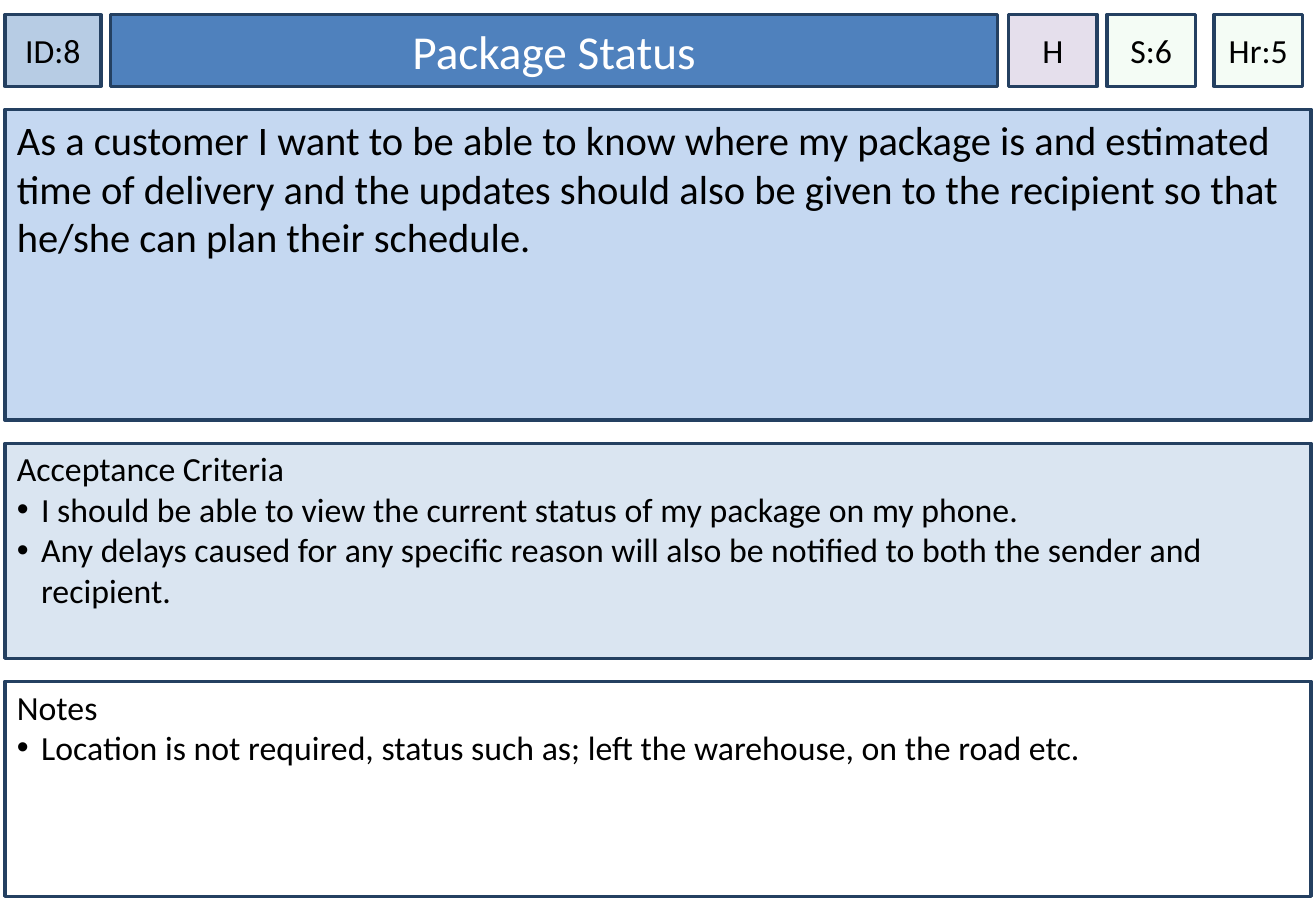
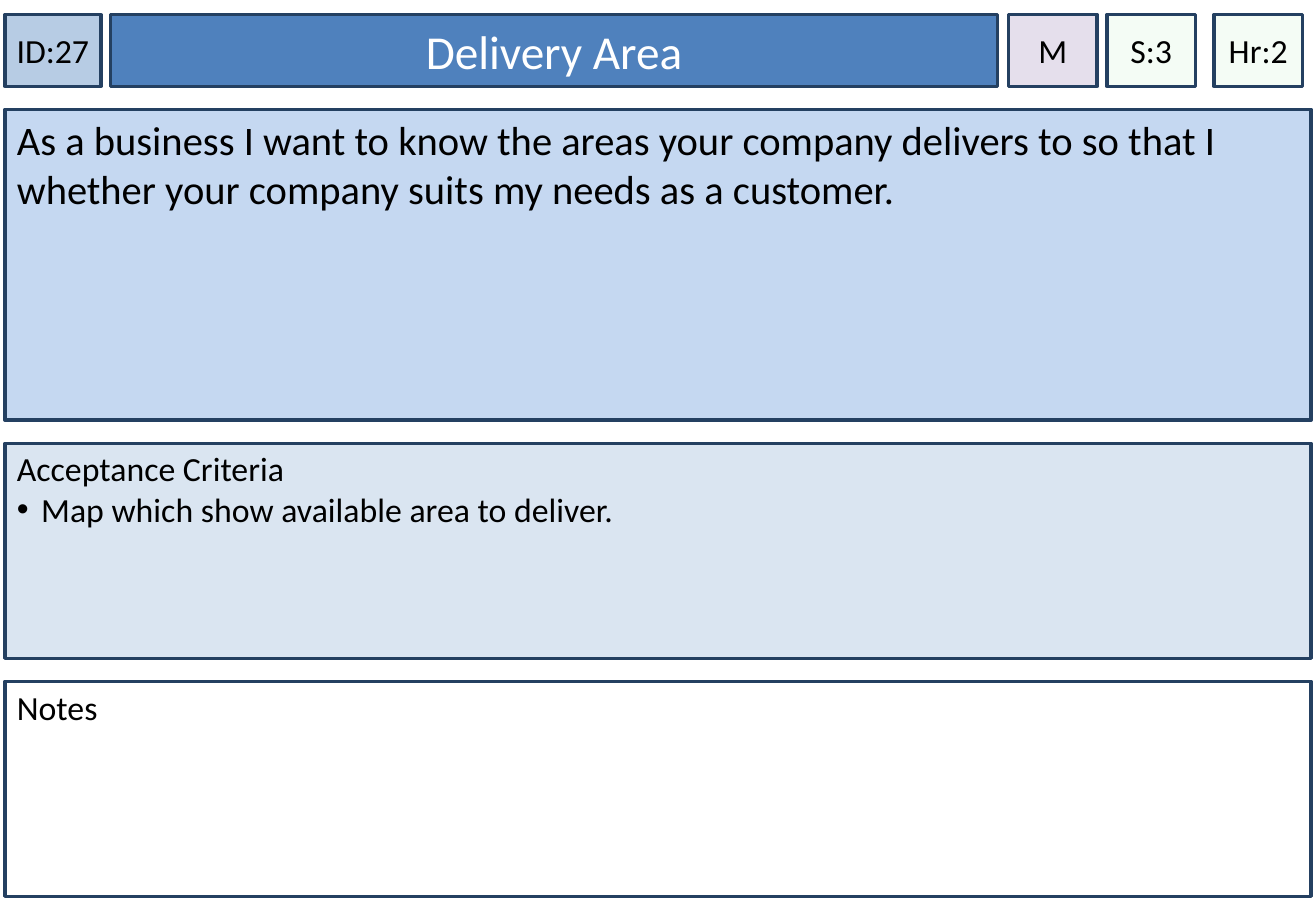
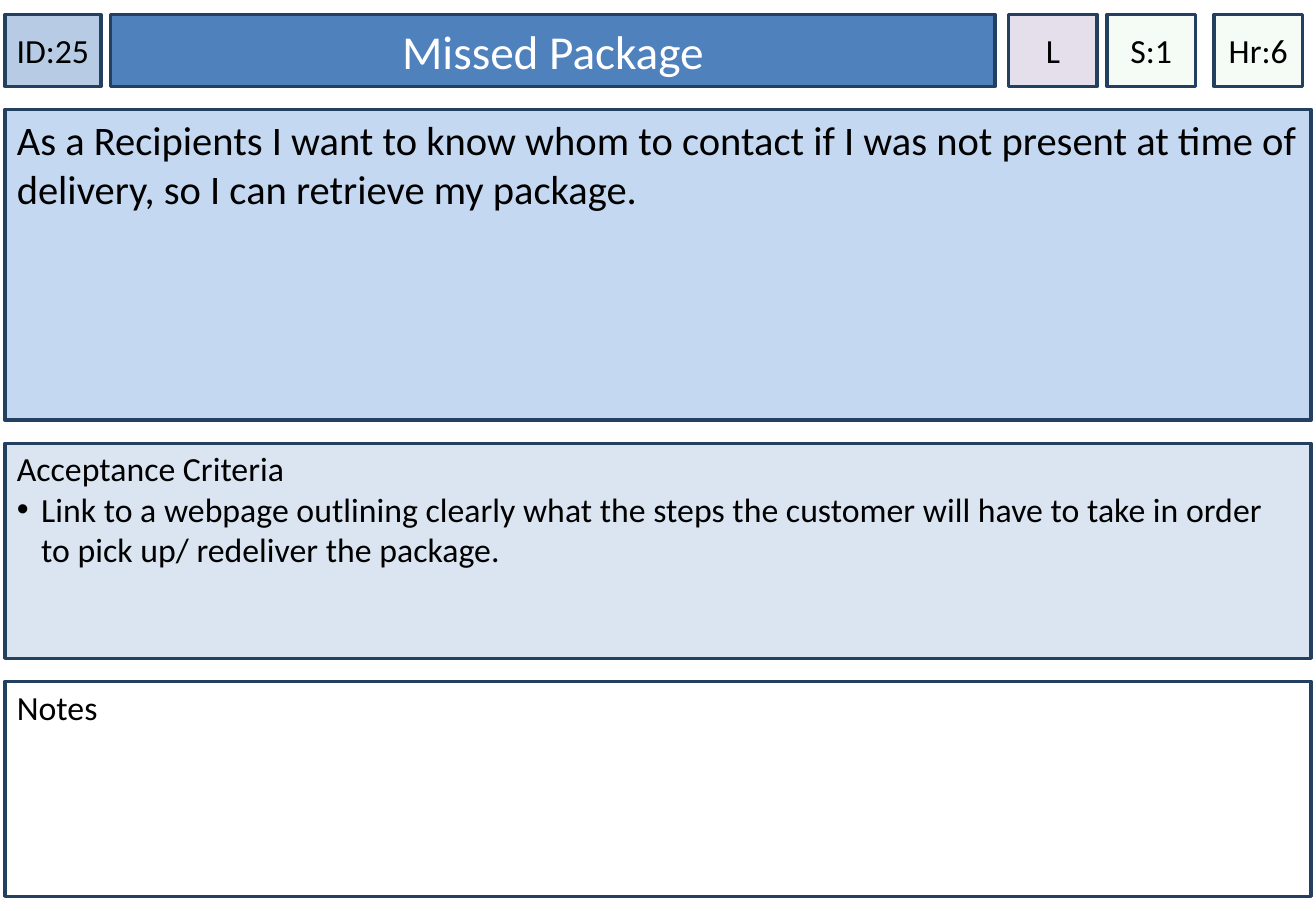
from lxml import etree
from pptx import Presentation
from pptx.dml.color import RGBColor
from pptx.enum.shapes import MSO_SHAPE
from pptx.enum.text import MSO_ANCHOR, PP_ALIGN
from pptx.oxml.ns import qn
from pptx.util import Inches, Pt

RECT = MSO_SHAPE.RECTANGLE
TOP, MIDDLE = MSO_ANCHOR.TOP, MSO_ANCHOR.MIDDLE
LEFT, CENTER = PP_ALIGN.LEFT, PP_ALIGN.CENTER

FONT = "Calibri"
HUES = {
    "line": "244061", "ink": "000000", "white": "FFFFFF",
    "id": "B7CCE4", "title": "4F81BD", "rank": "E5DFEC", "chip": "CCF0CD",
    "story": "C5D8F1", "tests": "DAE5F1",
}

# Four rows with equal gaps: head, story, acceptance criteria, notes
GAP = 0.19
rows, y = [], 0.12
for height in (0.59, 2.56, 1.77, 1.77):
    rows.append((y, height))
    y += height + GAP
HEAD, STORY, TESTS, NOTES = rows

# Columns: left, width
FULL = (0.04, 10.75)
ID_COL = (0.04, 0.79)
CHIP = 0.73
RANK_COL, SIZE_COL, HOUR_COL = [(x, CHIP) for x in (8.3, 9.11, 9.99)]

CARDS = [
    {
        "id": "ID:8", "title": "Package Status", "span": 7.3,
        "rank": "H", "size": "S:6", "hours": "Hr:5",
        "story": "As a customer I want to be able to know where my package is "
                 "and estimated time of delivery and the updates should also be "
                 "given to the recipient so that he/she can plan their schedule.",
        "tests": [
            "I should be able to view the current status of my package on my phone.",
            "Any delays caused for any specific reason will also be notified to "
            "both the sender and recipient.",
        ],
        "notes": ["Location is not required, status such as; left the warehouse, "
                  "on the road etc."],
    },
    {
        "id": "ID:27", "title": "Delivery Area", "span": 7.3,
        "rank": "M", "size": "S:3", "hours": "Hr:2",
        "story": "As a business I want to know the areas your company delivers to "
                 "so that I whether your company suits my needs as a customer.",
        "tests": ["Map which show available area to deliver."],
        "notes": [],
    },
    {
        "id": "ID:25", "title": "Missed Package", "span": 7.28,
        "rank": "L", "size": "S:1", "hours": "Hr:6",
        "story": "As a Recipients I want to know whom to contact if I was not "
                 "present at time of delivery, so I can retrieve my package.",
        "tests": ["Link to a webpage outlining clearly what the steps the customer "
                  "will have to take in order to pick up/ redeliver the package."],
        "notes": [],
    },
]


def add_box(slide, col, row, hue, lines, size=20, ink="ink", side=0.1, top=0.05,
            alpha=None):
    """Draw one outlined box; lines after the first are bulleted."""
    (x, wide), (y, high) = col, row
    box = slide.shapes.add_shape(
        RECT, Inches(x), Inches(y), Inches(wide), Inches(high))
    box.shadow.inherit = False
    box.fill.solid()
    box.fill.fore_color.rgb = RGBColor.from_string(HUES[hue])
    if alpha:
        tint = box.fill._xPr.find(".//" + qn("a:srgbClr"))
        etree.SubElement(tint, qn("a:alpha"), val=str(alpha * 1000))
    box.line.color.rgb = RGBColor.from_string(HUES["line"])
    box.line.width = Pt(2)

    head = row == HEAD
    frame = box.text_frame
    frame.word_wrap = True
    frame.vertical_anchor = MIDDLE if head else TOP
    frame.margin_left = frame.margin_right = Inches(side)
    frame.margin_top, frame.margin_bottom = Inches(top), Inches(0.05)
    for i, line in enumerate(lines):
        para = frame.add_paragraph() if i else frame.paragraphs[0]
        para.text = line
        para.alignment = CENTER if head else LEFT
        if i:
            props = para._p.get_or_add_pPr()
            props.set("marL", str(Inches(0.2)))
            props.set("indent", str(-Inches(0.2)))
            etree.SubElement(props, qn("a:buFont"), typeface="Arial")
            etree.SubElement(props, qn("a:buChar"), char="•")
        para.font.name = FONT
        para.font.size = Pt(size)
        para.font.color.rgb = RGBColor.from_string(HUES[ink])


deck = Presentation()
deck.slide_width, deck.slide_height = Inches(10.83), Inches(7.5)
blank = deck.slide_layouts[6]

for card in CARDS:
    slide = deck.slides.add_slide(blank)
    add_box(slide, ID_COL, HEAD, "id", [card["id"]], side=0)
    add_box(slide, (0.91, card["span"]), HEAD, "title", [card["title"]],
            size=28, ink="white")
    add_box(slide, FULL, STORY, "story", [card["story"]], size=24)
    add_box(slide, FULL, TESTS, "tests", ["Acceptance Criteria", *card["tests"]],
            top=0.04)
    add_box(slide, FULL, NOTES, "white", ["Notes", *card["notes"]], top=0.04)
    add_box(slide, RANK_COL, HEAD, "rank", [card["rank"]], side=0)
    for col, key in ((SIZE_COL, "size"), (HOUR_COL, "hours")):
        add_box(slide, col, HEAD, "chip", [card[key]], side=0, alpha=20)

deck.save("out.pptx")
